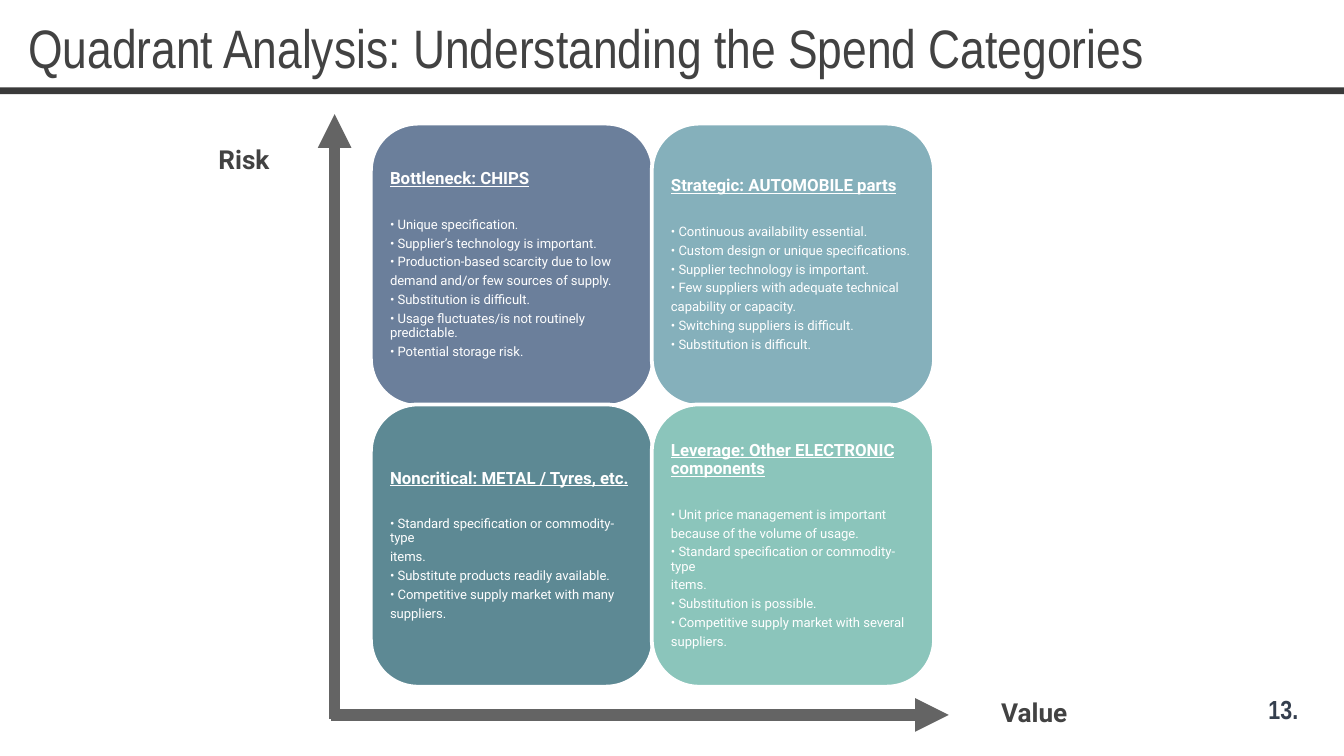
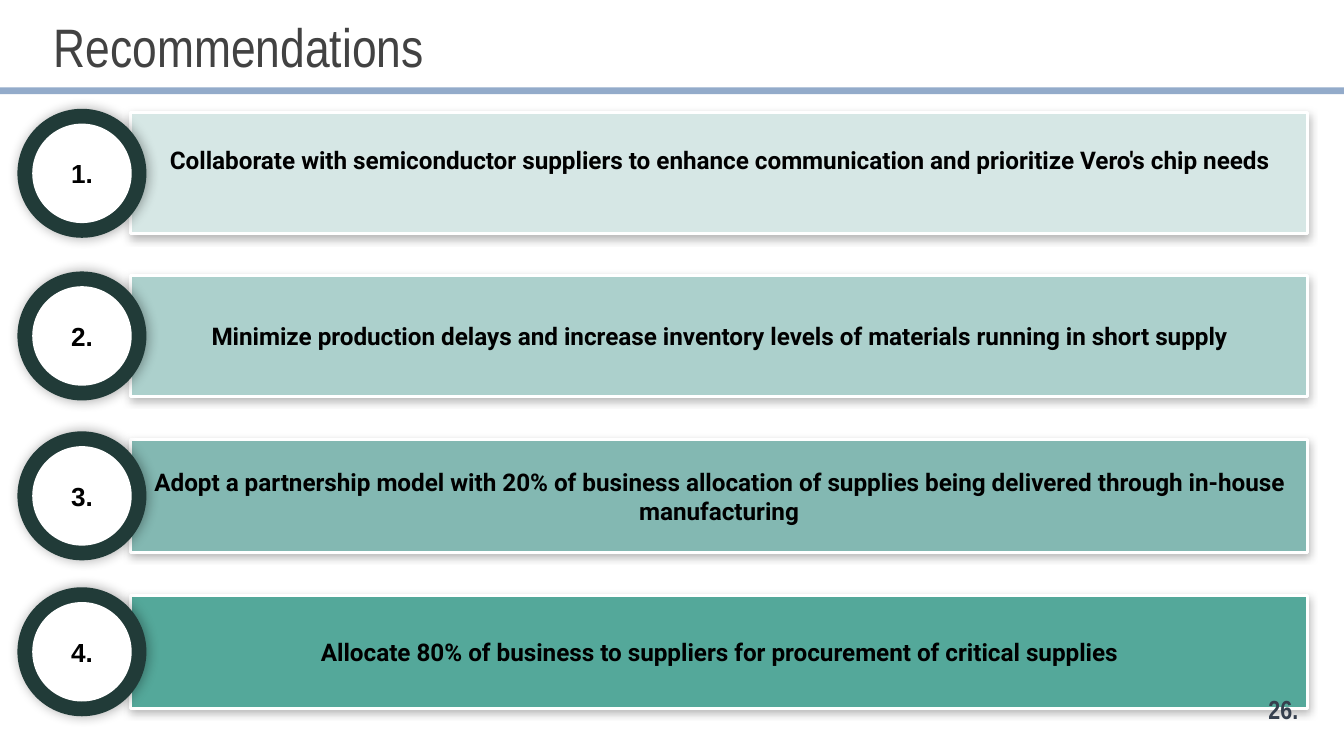
from lxml import etree
from pptx import Presentation
from pptx.dml.color import RGBColor
from pptx.enum.shapes import MSO_CONNECTOR, MSO_SHAPE
from pptx.enum.text import MSO_ANCHOR, MSO_AUTO_SIZE, PP_ALIGN
from pptx.oxml.ns import qn
from pptx.util import Emu, Inches, Pt

WHITE = RGBColor(0xFF, 0xFF, 0xFF)
BLACK = RGBColor(0x00, 0x00, 0x00)
INK = RGBColor(0x42, 0x42, 0x42)
PAGE_INK = RGBColor(0x35, 0x3F, 0x4E)
AXIS_GRAY = RGBColor(0x64, 0x64, 0x64)
DARK_RULE = RGBColor(0x3A, 0x3A, 0x3A)
BLUE_RULE = RGBColor(0x93, 0xAB, 0xCA)
RING_GREEN = RGBColor(0x21, 0x3B, 0x38)

HEADING_FONT = "Arial Narrow"
BODY_FONT = "Roboto"
NUMBER_FONT = "Arial"

BAR_SHADOW = (28, 4.5, 1.5, 90)
RING_SHADOW = (34, 6.8, 0.8, 0)

QUADRANT_LEFT, QUADRANT_TOP = 2.76, 0.92
QUADRANT_SIZE, QUADRANT_PITCH = 2.1, 2.09
QUADRANTS = [
    (RGBColor(0x6B, 0x7F, 0x9B), "Bottleneck: CHIPS", [
        "• Unique specification.",
        "• Supplier’s technology is important.",
        "• Production-based scarcity due to low",
        "demand and/or few sources of supply.",
        "• Substitution is difficult.",
        "• Usage fluctuates/is not routinely predictable.",
        "• Potential storage risk.",
    ]),
    (RGBColor(0x85, 0xB0, 0xBB), "Strategic: AUTOMOBILE parts", [
        "• Continuous availability essential.",
        "• Custom design or unique specifications.",
        "• Supplier technology is important.",
        "• Few suppliers with adequate technical",
        "capability or capacity.",
        "• Switching suppliers is difficult.",
        "• Substitution is difficult.",
    ]),
    (RGBColor(0x5D, 0x89, 0x94), "Noncritical: METAL / Tyres, etc.", [
        "• Standard specification or commodity-type",
        "items.",
        "• Substitute products readily available.",
        "• Competitive supply market with many",
        "suppliers.",
    ]),
    (RGBColor(0x8B, 0xC5, 0xBB), "Leverage: Other ELECTRONIC components", [
        "• Unit price management is important",
        "because of the volume of usage.",
        "• Standard specification or commodity-type",
        "items.",
        "• Substitution is possible.",
        "• Competitive supply market with several",
        "suppliers.",
    ]),
]

RING_SIZE, DISC_SIZE = 0.96, 0.74
RECOMMENDATIONS = [
    (0.84, 0.9, 0.25, RGBColor(0xD6, 0xE7, 0xE5),
     "Collaborate with semiconductor suppliers to enhance communication "
     "and prioritize Vero's chip needs"),
    (2.05, 0.9, 0.05, RGBColor(0xAC, 0xD0, 0xCC),
     "Minimize production delays and increase inventory levels of "
     "materials running in short supply"),
    (3.27, 0.84, 0.05, RGBColor(0x83, 0xB8, 0xB2),
     "Adopt a partnership model with 20% of business allocation of "
     "supplies being delivered through in-house manufacturing"),
    (4.43, 0.84, 0.05, RGBColor(0x54, 0xA8, 0x9A),
     "Allocate 80% of business to suppliers for procurement of "
     "critical supplies"),
]


def set_font(paragraph, name, size, color, bold=False, underline=False):
    """Set the font of a whole paragraph."""
    font = paragraph.font
    font.name, font.size = name, Pt(size)
    font.bold, font.underline = bold, underline
    font.color.rgb = color


def set_frame(frame, insets, anchor):
    """Set wrapping, anchor and left, top, right, bottom insets."""
    frame.word_wrap = True
    frame.auto_size = MSO_AUTO_SIZE.NONE
    frame.vertical_anchor = anchor
    (frame.margin_left, frame.margin_top,
     frame.margin_right, frame.margin_bottom) = map(Inches, insets)


def add_shadow(shape, opacity, blur, distance, angle):
    """Give a shape a soft black outer shadow."""
    effects = shape._element.spPr.find(qn("a:effectLst"))
    shadow = etree.SubElement(
        effects, qn("a:outerShdw"), blurRad=str(Pt(blur)),
        dist=str(Pt(distance)), dir=str(angle * 60000),
        algn="ctr", rotWithShape="0")
    color = etree.SubElement(shadow, qn("a:srgbClr"), val=str(BLACK))
    etree.SubElement(color, qn("a:alpha"), val=str(opacity * 1000))


def add_block(slide, kind, box, fill, line_width=0, shadow=None):
    """Add a filled preset shape with an optional white line and shadow."""
    shape = slide.shapes.add_shape(kind, *map(Inches, box))
    shape.fill.solid()
    shape.fill.fore_color.rgb = fill
    if line_width:
        shape.line.color.rgb = WHITE
        shape.line.width = Pt(line_width)
    else:
        shape.line.fill.background()
    shape.shadow.inherit = False
    if shadow:
        add_shadow(shape, *shadow)
    return shape


def write_centered(shape, text, font, size, insets):
    """Write one bold black centred paragraph into a shape."""
    set_frame(shape.text_frame, insets, MSO_ANCHOR.MIDDLE)
    paragraph = shape.text_frame.paragraphs[0]
    paragraph.text = text
    paragraph.alignment = PP_ALIGN.CENTER
    set_font(paragraph, font, size, BLACK, bold=True)


def add_label(slide, text, box, font, color, alignment=PP_ALIGN.LEFT):
    """Add a bold one-line text box."""
    frame = slide.shapes.add_textbox(*map(Inches, box)).text_frame
    frame.word_wrap = True
    frame.auto_size = MSO_AUTO_SIZE.SHAPE_TO_FIT_TEXT
    paragraph = frame.paragraphs[0]
    paragraph.text = text
    paragraph.alignment = alignment
    set_font(paragraph, font, 14, color, bold=True)


def add_titled_slide(presentation, title, box, anchor, rule_color, page):
    """Add a slide with its title, rule and page number."""
    slide = presentation.slides.add_slide(presentation.slide_layouts[5])
    shape = slide.shapes.title
    shape.left, shape.top, shape.width, shape.height = map(Inches, box)
    set_frame(shape.text_frame, (0.1, 0.1, 0.1, 0.1), anchor)
    paragraph = shape.text_frame.paragraphs[0]
    paragraph.text = title
    paragraph.alignment = PP_ALIGN.LEFT
    set_font(paragraph, HEADING_FONT, 29, INK)
    add_block(slide, MSO_SHAPE.RECTANGLE, (0, 0.65, 10, 0.05), rule_color)
    add_label(slide, page, (9.34, 5.11, 1, 0.34), HEADING_FONT, PAGE_INK)
    return slide


def add_quadrant(slide, left, top, fill, heading, lines):
    """Add one rounded quadrant with a heading and its points."""
    shape = add_block(slide, MSO_SHAPE.ROUNDED_RECTANGLE,
                      (left, top, QUADRANT_SIZE, QUADRANT_SIZE), fill, 2)
    frame = shape.text_frame
    set_frame(frame, (0.04, 0.04, 0.04, 0.04), MSO_ANCHOR.MIDDLE)
    for index, text in enumerate([heading, *lines]):
        is_heading = index == 0
        paragraph = frame.paragraphs[0] if is_heading else frame.add_paragraph()
        paragraph.text = text
        paragraph.alignment = PP_ALIGN.LEFT
        paragraph.line_spacing = 0.9
        paragraph.space_after = Pt(16 if is_heading else 2.6)
        set_font(paragraph, BODY_FONT, 9 if is_heading else 7, WHITE,
                 bold=is_heading, underline=is_heading)


def add_axis(slide, start, end):
    """Add a thick axis line with an arrowhead at its end."""
    axis = slide.shapes.add_connector(
        MSO_CONNECTOR.STRAIGHT, *map(Inches, start + end))
    axis.line.color.rgb = AXIS_GRAY
    axis.line.width = Pt(6)
    etree.SubElement(axis.line._get_or_add_ln(), qn("a:tailEnd"),
                     type="triangle")
    etree.SubElement(axis._element.spPr, qn("a:effectLst"))


def add_recommendation(slide, number, top, height, bottom_inset, fill, text):
    """Add a text bar with a numbered ring at its left end."""
    bar = add_block(slide, MSO_SHAPE.RECTANGLE, (0.97, top, 8.76, height),
                    fill, 1.5, BAR_SHADOW)
    write_centered(bar, text, BODY_FONT, 13, (0.1, 0.05, 0.1, bottom_inset))
    ring_left, ring_top = 0.13, top + (height - RING_SIZE) / 2
    add_block(slide, MSO_SHAPE.OVAL,
              (ring_left, ring_top, RING_SIZE, RING_SIZE),
              RING_GREEN, shadow=RING_SHADOW)
    border = (RING_SIZE - DISC_SIZE) / 2
    disc = add_block(slide, MSO_SHAPE.OVAL,
                     (ring_left + border, ring_top + border,
                      DISC_SIZE, DISC_SIZE), WHITE)
    write_centered(disc, f"{number}.", NUMBER_FONT, 14, (0.1, 0.1, 0.1, 0.1))


def build_quadrant_slide(presentation):
    """Build the risk and value quadrant slide."""
    slide = add_titled_slide(
        presentation, "Quadrant Analysis: Understanding the Spend Categories",
        (0.11, 0.2, 9.33, 0.3), MSO_ANCHOR.MIDDLE, DARK_RULE, "13.")
    for index, quadrant in enumerate(QUADRANTS):
        row, column = divmod(index, 2)
        add_quadrant(slide, QUADRANT_LEFT + column * QUADRANT_PITCH,
                     QUADRANT_TOP + row * QUADRANT_PITCH, *quadrant)
    for text, left, top in (("Value", 6.6, 5.13), ("Risk", 0.72, 1.02)):
        add_label(slide, text, (left, top, 2.19, 0.34), BODY_FONT, INK,
                  PP_ALIGN.CENTER)
    add_axis(slide, (2.49, 5.35), (2.49, 0.85))
    add_axis(slide, (2.46, 5.32), (7.06, 5.32))


def build_recommendation_slide(presentation):
    """Build the numbered recommendations slide."""
    slide = add_titled_slide(
        presentation, "Recommendations", (0.3, 0, 9, 0.72),
        MSO_ANCHOR.TOP, BLUE_RULE, "26.")
    page_number = slide.shapes[-1]
    for number, recommendation in enumerate(RECOMMENDATIONS, 1):
        add_recommendation(slide, number, *recommendation)
    slide.shapes._spTree.append(page_number._element)


def main():
    """Build and save the presentation."""
    presentation = Presentation()
    presentation.slide_width = Inches(10)
    presentation.slide_height = Emu(5143500)
    build_quadrant_slide(presentation)
    build_recommendation_slide(presentation)
    presentation.save("out.pptx")


if __name__ == "__main__":
    main()
